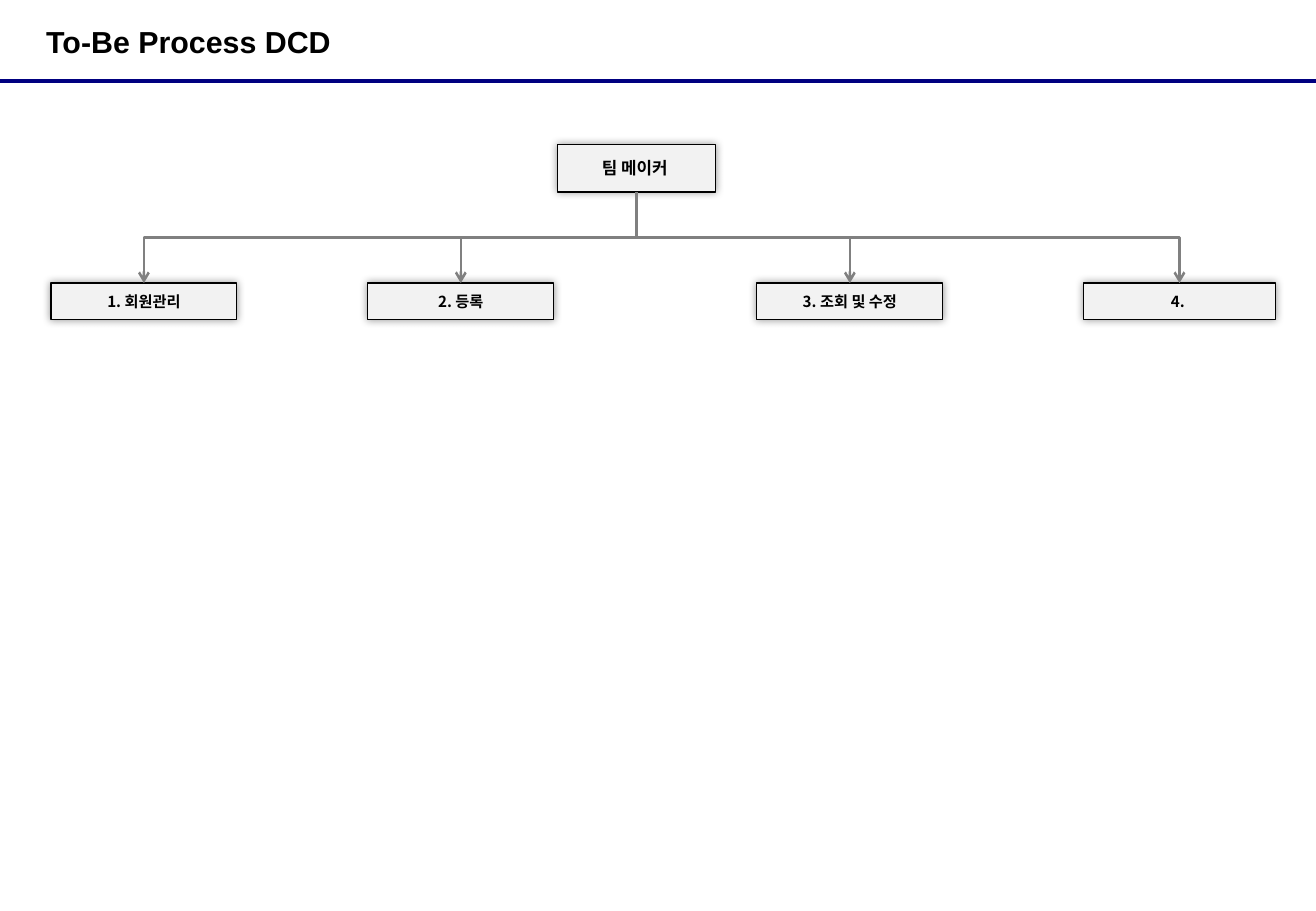
from lxml.etree import SubElement
from pptx import Presentation
from pptx.dml.color import RGBColor
from pptx.enum.shapes import MSO_CONNECTOR as Connector, MSO_SHAPE as Shape
from pptx.enum.text import MSO_ANCHOR as Anchor, MSO_AUTO_SIZE as AutoSize, PP_ALIGN as Align
from pptx.oxml.ns import qn
from pptx.util import Pt

BLACK = RGBColor(0x00, 0x00, 0x00)
NAVY = RGBColor(0x00, 0x00, 0x80)
GRAY = RGBColor(0x80, 0x80, 0x80)
PALE_GRAY = RGBColor(0xF2, 0xF2, 0xF2)

SLIDE_WIDTH, SLIDE_HEIGHT = 780, 540
TITLE_FONT, BOX_FONT = "Arial", "Noto Sans CJK KR"
BOTTOM_SITE, TOP_SITE = 2, 0

PROCESS_TOP, PROCESS_HEIGHT = 167.8, 21.6
# Label, left edge and width of each process
PROCESSES = [
    ("1. 회원관리", 30.2, 110.2),
    ("2. 등록", 218, 110.2),
    ("3. 조회 및 수정", 448.6, 110.2),
    ("4. ", 642.2, 113.8),
]


def set_values(target, values):
    """Set each attribute of the target from a dict."""
    for name, value in values.items():
        setattr(target, name, value)


def add_effects(shape):
    """Give the shape an effect list of its own and return it."""
    return SubElement(shape._element.spPr, qn("a:effectLst"))


class ChartSlide:
    """Hold the current slide and the style of the process chart."""

    def __init__(self, presentation):
        """Add a title-only slide."""
        self.slide = presentation.slides.add_slide(presentation.slide_layouts[5])
        self.shapes = self.slide.shapes

    def label(self, shape, text, font_name, size, align, frame_values):
        """Put one line of bold black text into the shape."""
        frame = shape.text_frame
        set_values(frame, {"word_wrap": True, "auto_size": AutoSize.NONE,
                           "vertical_anchor": Anchor.MIDDLE, **frame_values})
        paragraph = frame.paragraphs[0]
        paragraph.alignment = align
        run = paragraph.add_run()
        run.text = text
        set_values(run.font, {"name": font_name, "size": Pt(size), "bold": True})
        run.font.color.rgb = BLACK
        east_asian = SubElement(run._r.get_or_add_rPr(), qn("a:ea"))
        east_asian.set("typeface", font_name)

    def title(self, text, left, top, width, height):
        """Move and fill the title placeholder."""
        shape = self.shapes.title
        set_values(shape, {"left": Pt(left), "top": Pt(top),
                           "width": Pt(width), "height": Pt(height)})
        margins = dict.fromkeys(
            ("margin_left", "margin_right", "margin_top", "margin_bottom"), 0)
        self.label(shape, text, TITLE_FONT, 18, Align.LEFT, margins)

    def connector(self, kind, start, end, color, width):
        """Add a connector with a plain line and no shadow."""
        connector = self.shapes.add_connector(kind, *map(Pt, (*start, *end)))
        connector.line.color.rgb = color
        connector.line.width = Pt(width)
        add_effects(connector)
        return connector

    def box(self, text, left, top, width, height, size, **frame_values):
        """Add a pale box with a soft shadow all round."""
        shape = self.shapes.add_shape(
            Shape.RECTANGLE, *map(Pt, (left, top, width, height)))
        shape.fill.solid()
        shape.fill.fore_color.rgb = PALE_GRAY
        shape.line.color.rgb = BLACK
        shape.line.width = Pt(0.75)
        shadow = SubElement(add_effects(shape), qn("a:outerShdw"),
                            blurRad=str(Pt(5)), dist="0", dir="0")
        color = SubElement(shadow, qn("a:srgbClr"), val=str(BLACK))
        SubElement(color, qn("a:alpha"), val="40000")
        self.label(shape, text, BOX_FONT, size, Align.CENTER, frame_values)
        return shape

    def branch(self, parent, child):
        """Lead an elbow arrow from the parent's bottom to the child's top."""
        connector = self.connector(Connector.ELBOW, (0, 0), (0, 0), GRAY, 1.5)
        connector.begin_connect(parent, BOTTOM_SITE)
        connector.end_connect(child, TOP_SITE)
        start_x, start_y = connector.begin_x, connector.begin_y
        end_x, end_y = connector.end_x, connector.end_y
        # A quarter turn about the centre makes the elbow leave downwards
        drop, reach = end_y - start_y, abs(end_x - start_x)
        set_values(connector, {"left": (start_x + end_x - drop) // 2,
                               "top": (start_y + end_y - reach) // 2,
                               "width": drop, "height": reach})
        to_right = end_x > start_x
        transform = connector._element.spPr.find(qn("a:xfrm"))
        transform.set("rot", str((270 if to_right else 90) * 60000))
        transform.set("flipH", "1" if to_right else "0")
        SubElement(connector.line._get_or_add_ln(), qn("a:tailEnd"), type="arrow")


def main():
    """Build the slide and save it."""
    presentation = Presentation()
    set_values(presentation, {"slide_width": Pt(SLIDE_WIDTH),
                              "slide_height": Pt(SLIDE_HEIGHT)})
    chart = ChartSlide(presentation)
    chart.connector(Connector.STRAIGHT, (0, 48.2), (SLIDE_WIDTH, 48.2), NAVY, 2.25)
    chart.title("To-Be Process DCD", 27.4, 0, 510, 49)
    team_maker = chart.box("팀 메이커", 330.4, 85.6, 93.6, 28.2, 10,
                           margin_left=Pt(5), margin_right=Pt(7.2))
    processes = [chart.box(label, left, PROCESS_TOP, width, PROCESS_HEIGHT, 9)
                 for label, left, width in PROCESSES]
    for process in processes:
        chart.branch(team_maker, process)
    presentation.save("out.pptx")


main()
